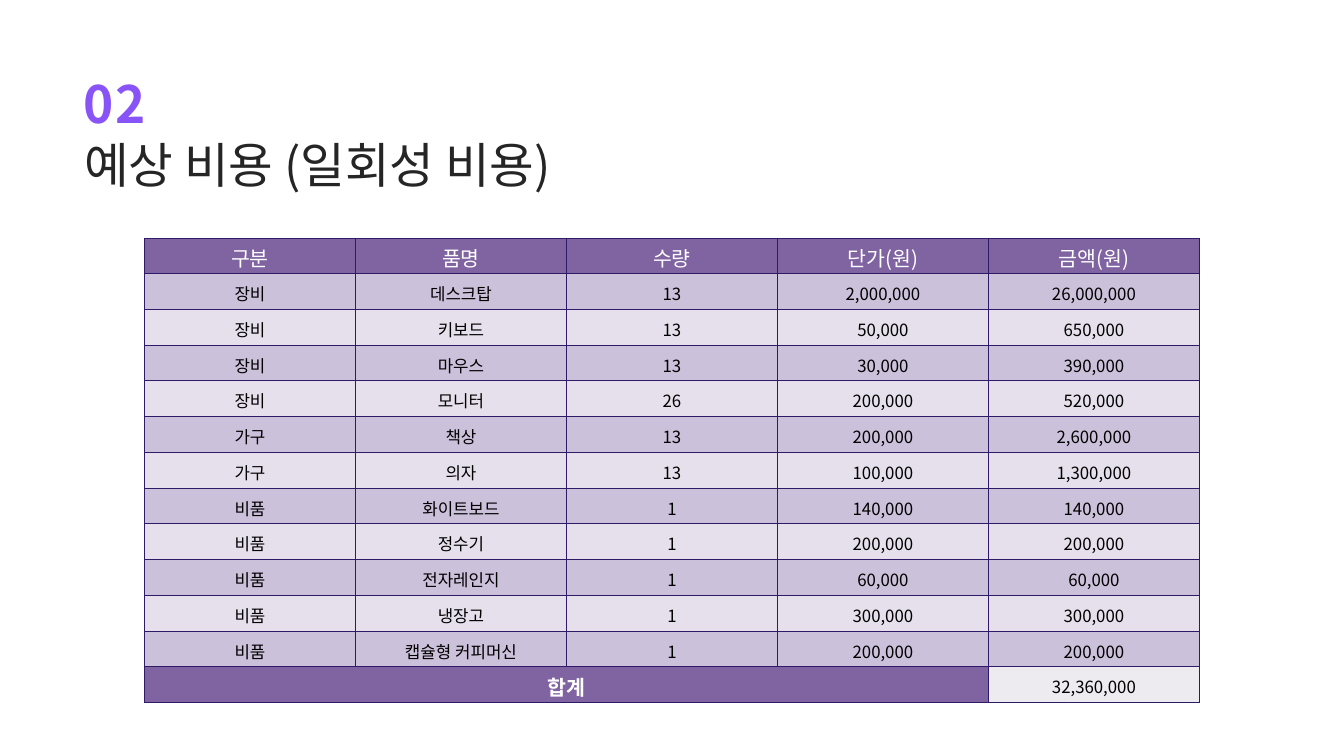
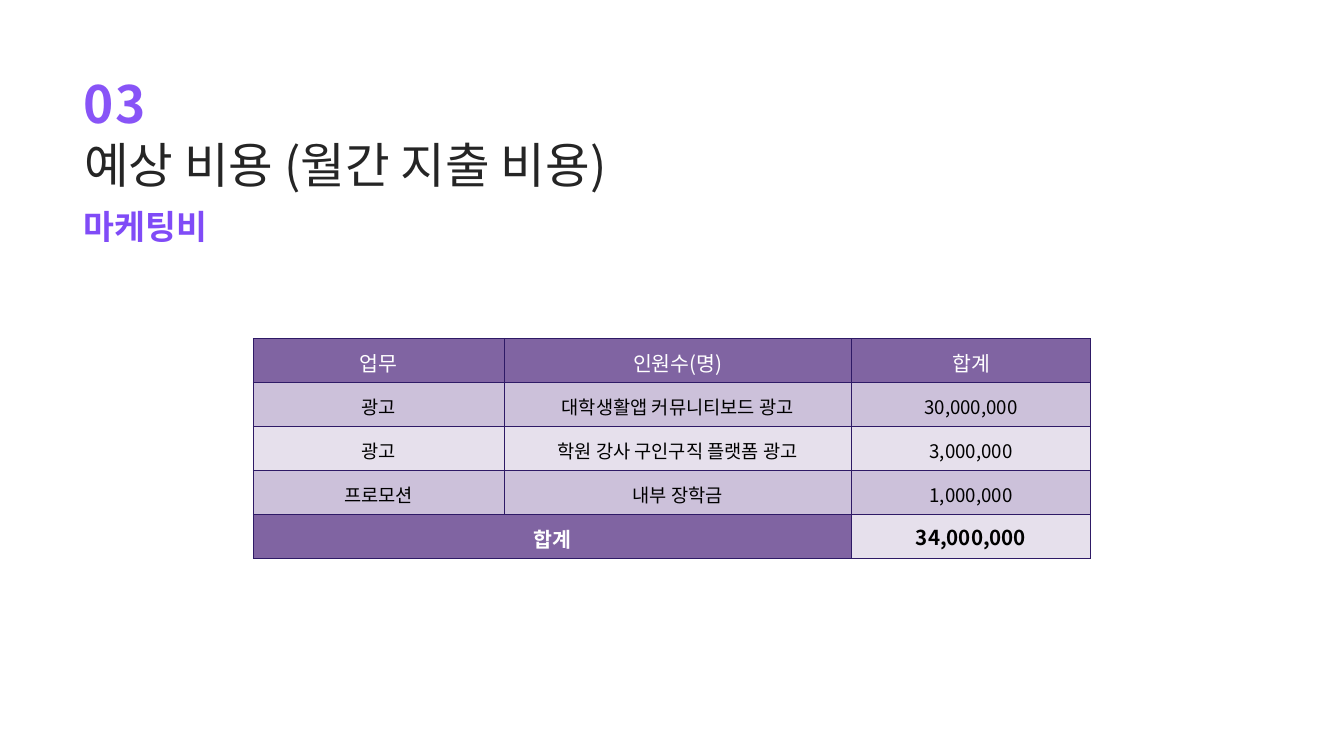
from dataclasses import dataclass

from lxml.etree import SubElement
from pptx import Presentation
from pptx.dml.color import RGBColor
from pptx.enum.text import MSO_ANCHOR, MSO_AUTO_SIZE, PP_ALIGN
from pptx.oxml.ns import qn
from pptx.util import Inches, Pt


@dataclass(frozen=True)
class Theme:
    font: str = "Noto Sans CJK KR"
    number: str = "8854F7"
    title: str = "252525"
    subtitle: str = "804BF7"
    header: str = "8064A2"
    bands: tuple = ("CCC1DA", "E6E0EC")
    total: str = "EDEAF0"
    border: str = "2E1A66"
    light: str = "FFFFFF"
    dark: str = "000000"
    number_size: int = 55
    title_size: int = 52
    subtitle_size: int = 36
    header_size: int = 22


THEME = Theme()
WIDTH, HEIGHT = 20, 11.25
MARGIN = WIDTH / 16

SLIDES = [
    {
        "number": "02",
        "title": "예상 비용 (일회성 비용)",
        "subtitle": None,
        "top": 3.54,
        "columns": [3.14] * 5,
        "row_height": 0.532,
        "body_size": 18,
        "header": ["구분", "품명", "수량", "단가(원)", "금액(원)"],
        "body": [
            ["장비", "데스크탑", "13", "2,000,000", "26,000,000"],
            ["장비", "키보드", "13", "50,000", "650,000"],
            ["장비", "마우스", "13", "30,000", "390,000"],
            ["장비", "모니터", "26", "200,000", "520,000"],
            ["가구", "책상", "13", "200,000", "2,600,000"],
            ["가구", "의자", "13", "100,000", "1,300,000"],
            ["비품", "화이트보드", "1", "140,000", "140,000"],
            ["비품", "정수기", "1", "200,000", "200,000"],
            ["비품", "전자레인지", "1", "60,000", "60,000"],
            ["비품", "냉장고", "1", "300,000", "300,000"],
            ["비품", "캡슐형 커피머신", "1", "200,000", "200,000"],
        ],
        "total": "32,360,000",
        "total_size": 18,
        "total_bold": False,
        "total_fill": THEME.total,
    },
    {
        "number": "03",
        "title": "예상 비용 (월간 지출 비용)",
        "subtitle": "마케팅비",
        "top": 5.04,
        "columns": [3.73, 5.17, 3.56],
        "row_height": 0.654,
        "body_size": 20,
        "header": ["업무", "인원수(명)", "합계"],
        "body": [
            ["광고", "대학생활앱 커뮤니티보드 광고", "30,000,000"],
            ["광고", "학원 강사 구인구직 플랫폼 광고", "3,000,000"],
            ["프로모션", "내부 장학금", "1,000,000"],
        ],
        "total": "34,000,000",
        "total_size": THEME.header_size,
        "total_bold": True,
        "total_fill": THEME.bands[1],
    },
]


def add_span(para, text, size, color, bold=False):
    span = para.add_run()
    span.text = text
    span.font.size = Pt(size)
    span.font.bold = bold
    span.font.color.rgb = RGBColor.from_string(color)
    span.font.name = THEME.font
    properties = span.font._element
    SubElement(properties, qn("a:ea"), typeface=THEME.font)
    return properties


def prepare_heading(box, top, width, height, line_spacing):
    """Place a heading on the left margin and return its empty paragraph."""
    box.left, box.top = Inches(MARGIN), Inches(top)
    box.width, box.height = Inches(width), Inches(height)
    frame = box.text_frame
    frame.margin_left = frame.margin_right = frame.margin_top = frame.margin_bottom = 0
    frame.word_wrap = True
    frame.auto_size = MSO_AUTO_SIZE.SHAPE_TO_FIT_TEXT
    frame.vertical_anchor = MSO_ANCHOR.TOP
    para = frame.paragraphs[0]
    para.alignment = PP_ALIGN.LEFT
    para.line_spacing = Pt(line_spacing)
    return para


deck = Presentation()
deck.slide_width, deck.slide_height = Inches(WIDTH), Inches(HEIGHT)
title_only = deck.slide_layouts[5]

for content in SLIDES:
    page = deck.slides.add_slide(title_only)

    number_box = page.shapes.add_textbox(0, 0, 0, 0)
    para = prepare_heading(number_box, 0.46, 1.53, 1.39, 110)
    properties = add_span(para, content["number"], THEME.number_size, THEME.number, True)
    properties.set("spc", "130")

    para = prepare_heading(page.shapes.title, 1.43, 8.75, 1.31, 104)
    add_span(para, content["title"], THEME.title_size, THEME.title)

    if content["subtitle"]:
        subtitle_box = page.shapes.add_textbox(0, 0, 0, 0)
        para = prepare_heading(subtitle_box, 3.22, 11, 0.49, 32.1)
        add_span(para, content["subtitle"], THEME.subtitle_size, THEME.subtitle, True)

    # Cost table, centred on the slide
    columns = content["columns"]
    total_row = ["합계"] + [""] * (len(columns) - 2) + [content["total"]]
    rows = [content["header"], *content["body"], total_row]
    last_row, last_column = len(rows) - 1, len(columns) - 1
    table_width, table_height = sum(columns), content["row_height"] * len(rows)
    table = page.shapes.add_table(
        len(rows), len(columns),
        Inches((WIDTH - table_width) / 2), Inches(content["top"]),
        Inches(table_width), Inches(table_height),
    ).table
    table.first_row = table.horz_banding = False
    for column, width in zip(table.columns, columns):
        column.width = Inches(width)
    for row in table.rows:
        row.height = Inches(content["row_height"])
    table.cell(last_row, 0).merge(table.cell(last_row, last_column - 1))

    for r, values in enumerate(rows):
        for c, value in enumerate(values):
            is_total = r == last_row and c == last_column
            if is_total:
                fill, color = content["total_fill"], THEME.dark
                size, bold = content["total_size"], content["total_bold"]
            elif r in (0, last_row):
                fill, color = THEME.header, THEME.light
                size, bold = THEME.header_size, r == last_row
            else:
                fill, color = THEME.bands[(r - 1) % 2], THEME.dark
                size, bold = content["body_size"], False

            cell = table.cell(r, c)
            cell_properties = cell._tc.get_or_add_tcPr()
            for side in ("a:lnL", "a:lnR", "a:lnT", "a:lnB"):
                line = SubElement(cell_properties, qn(side), w=str(Pt(1)))
                line_fill = SubElement(line, qn("a:solidFill"))
                SubElement(line_fill, qn("a:srgbClr"), val=THEME.border)
            cell.fill.solid()
            cell.fill.fore_color.rgb = RGBColor.from_string(fill)
            cell.vertical_anchor = MSO_ANCHOR.MIDDLE
            cell.margin_left = cell.margin_right = Inches(0.07)
            cell.margin_top = cell.margin_bottom = 0
            if cell.is_spanned:
                continue
            para = cell.text_frame.paragraphs[0]
            para.alignment = PP_ALIGN.CENTER
            if not (is_total and bold):
                para.line_spacing = 1.15
                para.space_after = Pt(10)
            add_span(para, value, size, color, bold)

deck.save("out.pptx")
